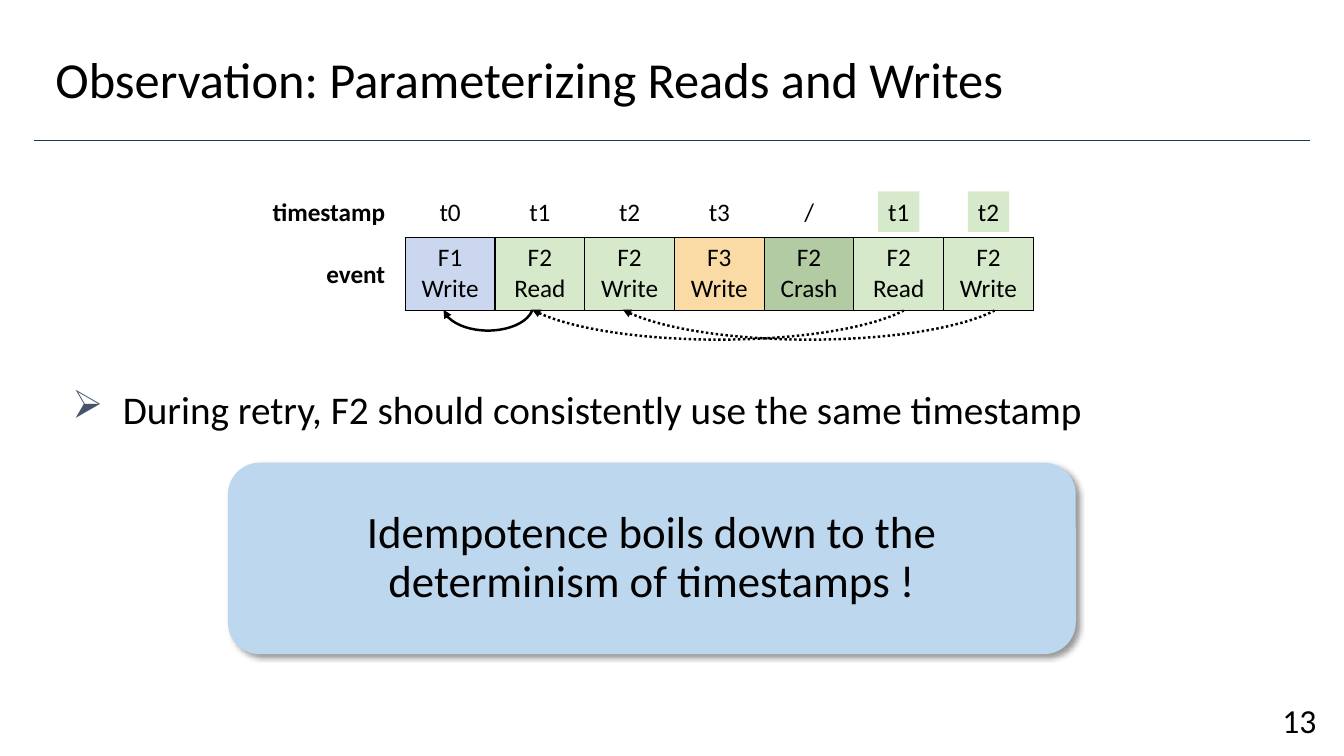
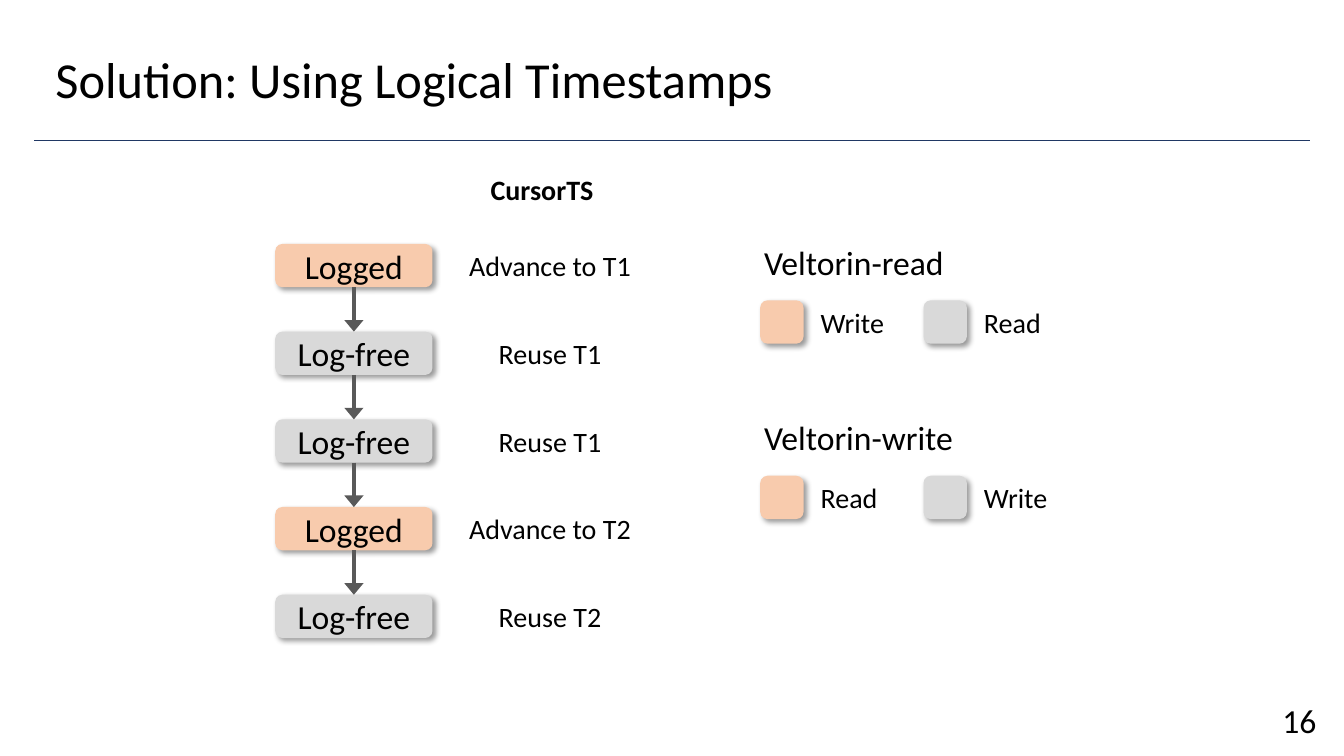
import pptx
import pptx.dml.color
import pptx.enum.dml
import pptx.enum.shapes
import pptx.enum.text
import pptx.oxml.ns
import pptx.util
from lxml import etree

Inches, Pt = pptx.util.Inches, pptx.util.Pt
ALIGN = pptx.enum.text.PP_ALIGN
ANCHOR = pptx.enum.text.MSO_ANCHOR
SHAPE = pptx.enum.shapes.MSO_SHAPE
STRAIGHT = pptx.enum.shapes.MSO_CONNECTOR.STRAIGHT
qn = pptx.oxml.ns.qn

FONT = "Calibri"
COLORS = {
    "text": "000000",
    "rule": "203864",
    "bullet": "44546A",
    "arrow": "595959",
    "F1": "B4C7E7",
    "F2": "C5E0B4",
    "F3": "F8CC81",
    "crash": "93B57C",
    "retry": "D6EACB",
    "callout": "BDD7EE",
    "logged": "F8CBAD",
    "log-free": "D9D9D9",
}


def rgb(name):
    return pptx.dml.color.RGBColor.from_string(COLORS[name])


def child(parent, tag, **attrs):
    el = etree.SubElement(parent, qn(tag))
    for key, value in attrs.items():
        el.set(key, str(value))
    return el


def write(tf, text, *, size=18, bold=False, align=ALIGN.LEFT, anchor=None,
          wrap=None, spacing=None):
    tf.text = text
    if anchor is not None:
        tf.vertical_anchor = anchor
    if wrap is not None:
        tf.word_wrap = wrap
    for p in tf.paragraphs:
        p.alignment = align
        p.line_spacing = spacing
        for r in p.runs:
            r.font.name, r.font.size, r.font.bold = FONT, Pt(size), bold
            r.font.color.rgb = rgb("text")


class Deck:
    def __init__(self):
        self.prs = pptx.Presentation()
        self.prs.slide_width, self.prs.slide_height = Inches(13.33), Inches(7.5)
        self.s = None

    def slide(self, title, number):
        self.s = self.prs.slides.add_slide(self.prs.slide_layouts[5])
        sp = self.s.shapes.title
        sp.left, sp.top = Inches(0.45), Inches(0.36)
        sp.width, sp.height = Inches(12.42), Inches(0.84)
        write(sp.text_frame, title, size=36, anchor=ANCHOR.MIDDLE)
        self.line((0.34, 1.39), (12.99, 1.39), "rule", 0.75)
        self.text(12.62, 6.89, 0.61, 0.5, str(number), size=24)

    def line(self, start, end, color, width):
        ln = self.s.shapes.add_connector(STRAIGHT, *map(Inches, start + end))
        ln.line.color.rgb, ln.line.width = rgb(color), Pt(width)
        child(ln._element.spPr, "a:effectLst")
        return ln

    def arrow_down(self, upper, lower):
        ln = self.line((0, 0), (1, 1), "arrow", 2.75)
        ln.begin_connect(upper, 2)
        ln.end_connect(lower, 0)
        child(ln.line._get_or_add_ln(), "a:tailEnd", type="triangle", w="lg")

    def text(self, x, y, w, h, text, fill=None, **fmt):
        sp = self.s.shapes.add_textbox(*map(Inches, (x, y, w, h)))
        if fill:
            sp.fill.solid()
            sp.fill.fore_color.rgb = rgb(fill)
        write(sp.text_frame, text, **{"wrap": False, **fmt})
        return sp

    def bullet(self, x, y, w, h, text):
        sp = self.text(x, y, w, h, text, size=28, wrap=True, anchor=ANCHOR.MIDDLE)
        pPr = sp.text_frame.paragraphs[0]._p.get_or_add_pPr()
        pPr.set("marL", str(Inches(0.67)))
        pPr.set("indent", str(Inches(-0.5)))
        child(child(pPr, "a:buClr"), "a:srgbClr", val=COLORS["bullet"])
        child(pPr, "a:buChar", char="➢")

    def card(self, x, y, w, h, fill, text="", **fmt):
        """Rounded rectangle with a soft shadow."""
        sp = self.s.shapes.add_shape(SHAPE.ROUNDED_RECTANGLE,
                                     *map(Inches, (x, y, w, h)))
        sp.fill.solid()
        sp.fill.fore_color.rgb = rgb(fill)
        sp.line.fill.background()
        sp.shadow.inherit = False
        effects = sp._element.spPr.find(qn("a:effectLst"))
        shadow = child(effects, "a:outerShdw", blurRad=Pt(4), dist=Pt(3),
                       dir=45 * 60000, algn="tl", rotWithShape=0)
        child(child(shadow, "a:srgbClr", val="000000"), "a:alpha", val=40000)
        if text:
            write(sp.text_frame, text, align=ALIGN.CENTER, wrap=True,
                  anchor=ANCHOR.MIDDLE, **fmt)
        return sp

    def back_arc(self, x, y, w, h, dotted=False):
        """Arc sagging below a row, with its arrowhead at the left end."""
        sp = self.s.shapes.add_shape(SHAPE.ARC, *map(Inches, (x, y, w, h)))
        sp.adjustments[0], sp.adjustments[1] = 111.83, 211.96
        sp.fill.background()
        sp.shadow.inherit = False
        sp.line.color.rgb, sp.line.width = rgb("text"), Pt(1.75)
        if dotted:
            sp.line.dash_style = pptx.enum.dml.MSO_LINE.ROUND_DOT
        child(sp.line._get_or_add_ln(), "a:headEnd", type="triangle")
        sp._element.spPr.find(qn("a:xfrm")).set("flipV", "1")

    def event_row(self, x, y, col_w, h, events):
        frame = self.s.shapes.add_table(
            1, len(events), *map(Inches, (x, y, col_w * len(events), h)))
        table = frame.table
        table.first_row = table.horz_banding = False
        for i, (text, fill) in enumerate(events):
            table.columns[i].width = Inches(col_w)
            cell = table.cell(0, i)
            write(cell.text_frame, text, align=ALIGN.CENTER)
            tcPr = cell._tc.get_or_add_tcPr()
            for side in ("a:lnL", "a:lnR", "a:lnT", "a:lnB"):
                solid = child(child(tcPr, side, w=Pt(1)), "a:solidFill")
                child(solid, "a:srgbClr", val=COLORS["text"])
            cell.fill.solid()
            cell.fill.fore_color.rgb = rgb(fill)
            clr = tcPr.find(qn("a:solidFill")).find(qn("a:srgbClr"))
            child(clr, "a:alpha", val=70000)


def observation(deck):
    deck.slide("Observation: Parameterizing Reads and Writes", 13)
    deck.bullet(0.45, 3.76, 12.42, 0.6,
                "During retry, F2 should consistently use the same timestamp")
    left, col_w = 4.02, 0.89
    deck.event_row(left, 2.36, col_w, 0.72, [
        ("F1\nWrite", "F1"), ("F2\nRead", "F2"), ("F2\nWrite", "F2"),
        ("F3\nWrite", "F3"), ("F2\nCrash", "crash"), ("F2\nRead", "F2"),
        ("F2\nWrite", "F2")])
    for y, label in ((1.9, "timestamp"), (2.51, "event")):
        deck.text(2.46, y, 1.46, 0.4, label, bold=True, align=ALIGN.RIGHT)
    stamp_w = 0.41
    for i, stamp in enumerate(("t0", "t1", "t2", "t3", "/", "t1", "t2")):
        deck.text(left + col_w * i + (col_w - stamp_w) / 2, 1.9, stamp_w, 0.4,
                  stamp, fill="retry" if i > 4 else None, align=ALIGN.CENTER)
    deck.back_arc(4.39, 2.77, 0.9, 0.51)
    for x in (5.1, 6):
        deck.back_arc(x, 2.36, 4.06, 1.01, dotted=True)
    deck.card(2.26, 4.59, 8.41, 1.9, "callout",
              "Idempotence boils down to the determinism of timestamps !",
              size=32, spacing=0.9)


def solution(deck):
    deck.slide("Solution: Using Logical Timestamps", 16)
    deck.text(4.63, 1.66, 1.49, 0.44, "CursorTS", size=20, bold=True,
              align=ALIGN.CENTER)
    steps = [("Logged", "Advance to T1"), ("Log-free", "Reuse T1"),
             ("Log-free", "Reuse T1"), ("Logged", "Advance to T2"),
             ("Log-free", "Reuse T2")]
    previous = None
    for i, (step, cursor) in enumerate(steps):
        y = 2.42 + 0.87 * i
        card = deck.card(2.73, y, 1.56, 0.43, step.lower(), step, size=24)
        deck.text(4.53, y, 1.85, 0.44, cursor, size=20, align=ALIGN.CENTER)
        if previous is not None:
            deck.arrow_down(previous, card)
        previous = card

    legends = [("Veltorin-read", "Write", "Read"),
               ("Veltorin-write", "Read", "Write")]
    for i, (protocol, *operations) in enumerate(legends):
        y = 2.35 + 1.74 * i
        deck.text(7.48, y, 3, 0.5, protocol, size=24, wrap=True)
        for j, (fill, operation) in enumerate(zip(("logged", "log-free"), operations)):
            x = 7.54 + 1.62 * j
            deck.card(x, y + 0.63, 0.43, 0.43, fill)
            deck.text(x + 0.5, y + 0.63, 0.89, 0.44, operation, size=20)


def main():
    deck = Deck()
    observation(deck)
    solution(deck)
    deck.prs.save("out.pptx")


if __name__ == "__main__":
    main()
